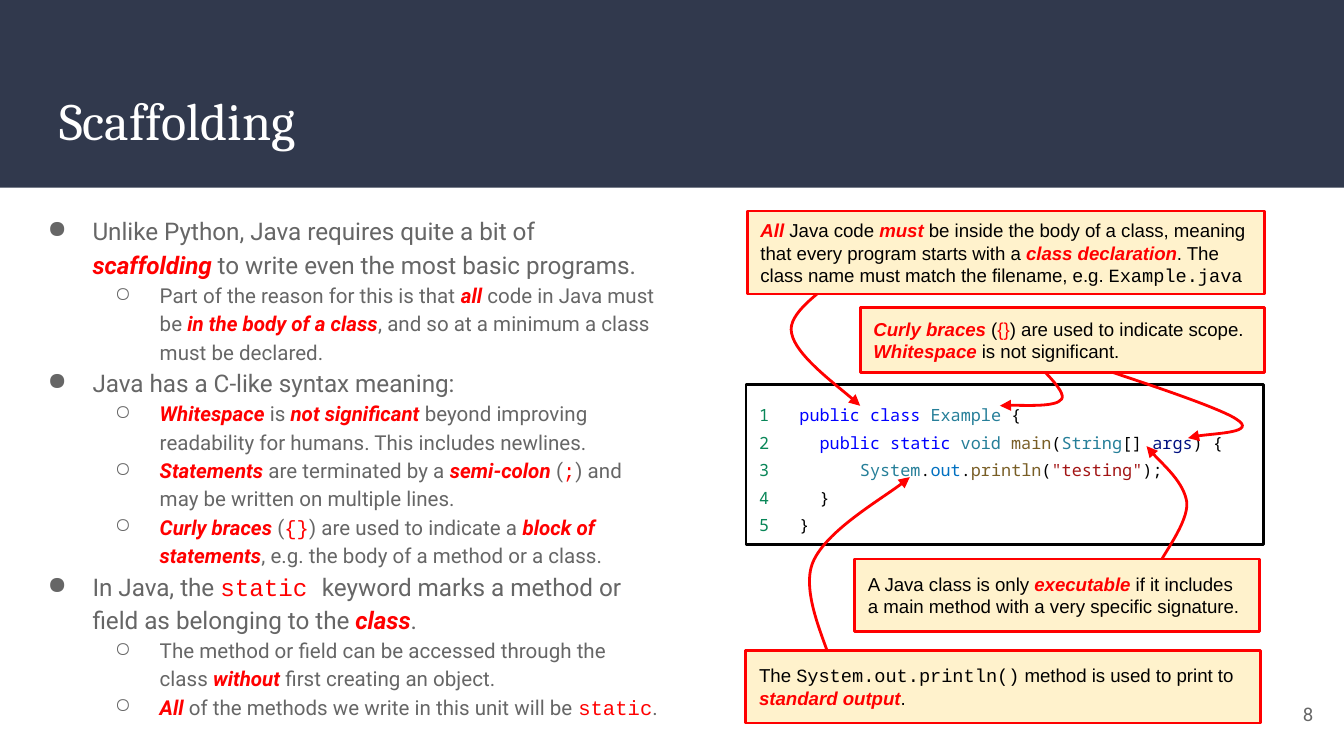
from lxml import etree
from pptx import Presentation
from pptx.dml.color import RGBColor
from pptx.enum import shapes, text
from pptx.oxml import ns
from pptx.util import Pt

COLORS = {
    "navy": "31394D", "white": "FFFFFF", "black": "000000", "gray": "666666",
    "red": "FF0000", "cream": "FFF2CC", "number": "098658", "keyword": "0000FF",
    "type": "267F99", "method": "795E26", "variable": "001080",
    "field": "0070C1", "string": "A31515",
}
INSET = 7.2

# Each text is a list of plain strings and (string, style) pairs.
NOTES = [
    (0, ["Unlike Python, Java requires quite a bit of ", ("scaffolding ", "em"),
         "to write even the most basic programs."]),
    (1, ["Part of the reason for this is that ", ("all ", "em"), "code in Java must be ",
         ("in the body of a class", "em"), ", and so at a minimum a class must be declared."]),
    (0, ["Java has a C-like syntax meaning:"]),
    (1, [("Whitespace ", "em"), "is ", ("not significant", "em"),
         " beyond improving readability for humans. This includes newlines."]),
    (1, [("Statements", "em"), " are terminated by a ", ("semi-colon", "em"), " (",
         (";", "red mono"), ") and may be written on multiple lines."]),
    (1, [("Curly braces", "em"), " (", ("{}", "red mono"), ") are used to indicate a ",
         ("block of statements", "em"), ", e.g. the body of a method or a class."]),
    (0, ["In Java, the ", ("static ", "red mono"),
         "keyword marks a method or field as belonging to the ", ("class", "em"), "."]),
    (1, ["The method or field can be accessed through the class ", ("without ", "em"),
         "first creating an object."]),
    (1, [("All ", "em"), "of the methods we write in this unit will be ",
         ("static", "red mono"), "."]),
]
CODE = [
    [("1   ", "number"), ("public class ", "keyword"), ("Example", "type"), " {"],
    [("2     ", "number"), ("public static ", "keyword"), ("void ", "type"),
     ("main", "method"), "(", ("String", "type"), "[] ", ("args", "variable"), ") {"],
    [("3         ", "number"), ("System", "type"), ".", ("out", "field"), ".",
     ("println", "method"), "(", ('"testing"', "string"), ");"],
    [("4", "number"), "     }"],
    [("5", "number"), "   }"],
]
# Callout boxes, relative to the code panel
CALLOUTS = [
    ((0.7, 0, 277.2, 44.6),
     [("All ", "em"), "Java code ", ("must ", "em"),
      "be inside the body of a class, meaning that every program starts with a ",
      ("class declaration", "em"), ". The class name must match the filename, e.g. ",
      ("Example.java", "mono")]),
    ((61.2, 51.9, 216.7, 34.6),
     [("Curly braces ", "em"), "(", ("{}", "red"), ") are used to indicate scope. ",
      ("Whitespace", "em"), " is not significant."]),
    ((58.3, 186.5, 216.7, 38.9),
     ["A Java class is only ", ("executable ", "em"),
      "if it includes a main method with a very specific signature."]),
    ((0, 235.5, 275.8, 38.9),
     ["The ", ("System.out.println()", "mono"), " method is used to print to ",
      ("standard output", "em"), "."]),
]
# Start point, then two Bezier segments of three points each
ARROWS = [
    [(45.4, 38.2), (41.8, 42.5), (21.6, 54.8), (24.5, 65.6),
     (26.6, 77.1), (54.7, 98), (61.2, 104.4)],
    [(152.6, 78.5), (155.5, 82.1), (172.1, 96.5), (169.2, 100.8),
     (166.3, 105.2), (141.8, 103.7), (136.1, 104.4)],
    [(168.5, 77.1), (184.3, 82.8), (251.3, 103.7), (262.8, 111.6),
     (274.3, 118.8), (241.2, 119.6), (236.9, 121.7)],
    [(221, 190.1), (223.2, 184.4), (236.9, 167.1), (236.2, 156.3),
     (234.7, 145.5), (218.2, 131.1), (214.6, 126)],
    [(45.4, 242), (43.9, 233.3), (28.8, 204.5), (36, 188),
     (43.2, 171.4), (79.2, 150.5), (87.8, 142.6)],
]


def rgb(name):
    return RGBColor.from_string(COLORS[name])


def set_font(font, name, size, color):
    font.name, font.size = name, Pt(size)
    font.color.rgb = rgb(color)


def write(paragraph, parts, name, size, color):
    set_font(paragraph.font, name, size, color)
    for part in parts:
        words, style = part if isinstance(part, tuple) else (part, "")
        run = paragraph.add_run()
        run.text = words
        if style == "em":
            run.font.bold = run.font.italic = True
        if "mono" in style:
            run.font.name = "Courier New"
        if style == "em" or "red" in style:
            run.font.color.rgb = rgb("red")
        elif style in COLORS:
            run.font.color.rgb = rgb(style)


def set_frame(frame, anchor):
    frame.word_wrap = True
    frame.vertical_anchor = anchor
    frame.margin_left = frame.margin_right = Pt(INSET)
    frame.margin_top = frame.margin_bottom = Pt(INSET)


def add_box(slide, box, fill, line=None, anchor=text.MSO_ANCHOR.MIDDLE):
    rect = slide.shapes.add_shape(shapes.MSO_SHAPE.RECTANGLE, *map(Pt, box))
    rect.shadow.inherit = False
    rect.fill.solid()
    rect.fill.fore_color.rgb = rgb(fill)
    if line:
        rect.line.color.rgb = rgb(line)
        rect.line.width = Pt(1.5)
    else:
        rect.line.fill.background()
    set_frame(rect.text_frame, anchor)
    return rect


def add_text(slide, box, anchor):
    frame = slide.shapes.add_textbox(*map(Pt, box)).text_frame
    set_frame(frame, anchor)
    return frame


def add_bullet(paragraph, level):
    paragraph.level = level
    props = paragraph._p.get_or_add_pPr()
    props.set("marL", str(Pt(36 * (level + 1))))
    props.set("indent", str(-Pt(24)))
    color = etree.SubElement(props, ns.qn("a:buClr"))
    etree.SubElement(color, ns.qn("a:srgbClr"), val=COLORS["gray"])
    etree.SubElement(props, ns.qn("a:buChar"), char="●○"[level])


def add_curved_arrow(slide, points):
    start, *rest = [(Pt(x), Pt(y)) for x, y in points]
    builder = slide.shapes.build_freeform(*start)
    builder.add_line_segments(rest, close=False)
    arrow = builder.convert_to_shape()
    arrow.shadow.inherit = False
    arrow.fill.background()
    arrow.line.color.rgb = rgb("red")
    arrow.line.width = Pt(1.5)
    # Turn each three line segments into one Bezier segment
    outline = next(arrow._element.iter(ns.qn("a:path")))
    segments = outline.findall(ns.qn("a:lnTo"))
    for i in range(0, len(segments), 3):
        curve = etree.SubElement(outline, ns.qn("a:cubicBezTo"))
        for segment in segments[i:i + 3]:
            curve.append(segment[0])
            outline.remove(segment)
    etree.SubElement(arrow.line._get_or_add_ln(), ns.qn("a:tailEnd"), type="triangle")


def header(slide, box):
    left, top, width, _ = box
    banner = add_box(slide, box, "navy")
    slide.shapes._spTree.insert(2, banner._element)  # behind the title
    title = slide.shapes.title
    title.left, title.top = Pt(left + 24.5), Pt(top + 39.6)
    title.width, title.height = Pt(width - 49), Pt(49)
    set_frame(title.text_frame, text.MSO_ANCHOR.MIDDLE)
    title.text = "Scaffolding"
    heading = title.text_frame.paragraphs[0]
    heading.alignment = text.PP_ALIGN.LEFT
    set_font(heading.font, "Cambria", 28, "white")


def notes(slide, box):
    frame = add_text(slide, box, text.MSO_ANCHOR.TOP)
    for i, (level, parts) in enumerate(NOTES):
        paragraph = frame.add_paragraph() if i else frame.paragraphs[0]
        add_bullet(paragraph, level)
        paragraph.line_spacing = 1.15
        write(paragraph, parts, "Roboto", (13, 11)[level], "gray")


def annotated_code(slide, box):
    left, top, width, _ = box
    # Code listing
    listing = add_box(slide, (left, top + 92.9, width, 85.7), "white", "black",
                      text.MSO_ANCHOR.TOP).text_frame
    for i, parts in enumerate(CODE):
        line = listing.add_paragraph() if i else listing.paragraphs[0]
        line.alignment = text.PP_ALIGN.LEFT
        line.line_spacing = 1.36
        write(line, parts, "Noto Sans Mono", 9, "black")
    # Arrows lie under the callouts they start from
    for points in ARROWS:
        add_curved_arrow(slide, [(left + x, top + y) for x, y in points])
    for (x, y, w, h), parts in CALLOUTS:
        callout = add_box(slide, (left + x, top + y, w, h), "cream", "red")
        remark = callout.text_frame.paragraphs[0]
        remark.alignment = text.PP_ALIGN.LEFT
        write(remark, parts, "Arial", 10, "black")


def page_number(slide, box):
    number = add_text(slide, box, text.MSO_ANCHOR.MIDDLE).paragraphs[0]
    number.alignment = text.PP_ALIGN.RIGHT
    write(number, ["8"], "Roboto", 10, "gray")


def main():
    deck = Presentation()
    deck.slide_width, deck.slide_height = Pt(720), Pt(405)
    slide = deck.slides.add_slide(deck.slide_layouts[5])
    header(slide, (0, 0, 720, 100.6))
    notes(slide, (6.5, 106.5, 353.5, 281))
    annotated_code(slide, (399.6, 113, 277.2, 274.4))
    page_number(slide, (667.5, 367.2, 43.2, 31))
    deck.save("out.pptx")


if __name__ == "__main__":
    main()
